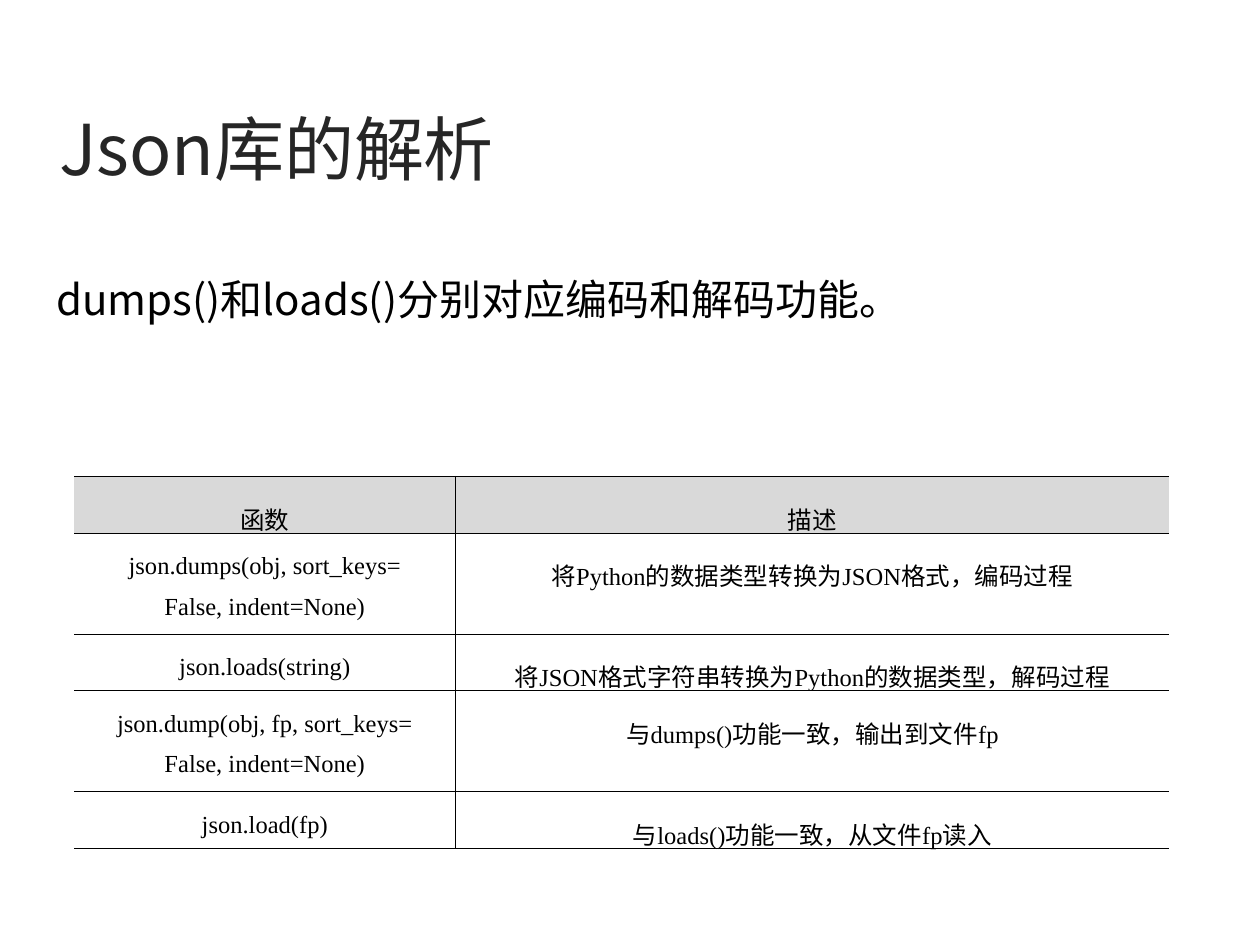
from lxml import etree
from pptx import Presentation
from pptx.dml.color import RGBColor
from pptx.enum import text
from pptx.oxml import ns
from pptx.util import Inches, Pt

BLACK = RGBColor(0x00, 0x00, 0x00)
CHARCOAL = RGBColor(0x26, 0x26, 0x26)
GREY = RGBColor(0xD9, 0xD9, 0xD9)
WHITE = RGBColor(0xFF, 0xFF, 0xFF)
SANS = "Noto Sans CJK SC"
SERIF = "Times New Roman"

ROWS = [
    ("函数", "描述"),
    ("json.dumps(obj, sort_keys=\nFalse, indent=None)", "将Python的数据类型转换为JSON格式，编码过程"),
    ("json.loads(string)", "将JSON格式字符串转换为Python的数据类型，解码过程"),
    ("json.dump(obj, fp, sort_keys=\nFalse, indent=None)", "与dumps()功能一致，输出到文件fp"),
    ("json.load(fp)", "与loads()功能一致，从文件fp读入"),
]


def add_child(parent, tag, **attributes):
    """Append a DrawingML element and return it."""
    return etree.SubElement(parent, ns.qn(tag), attributes)


def write(frame, content, size, font=SANS, color=BLACK, align=None, spacing=None, shadow=False):
    """Fill a text frame, one paragraph for each line."""
    for index, line in enumerate(content.split("\n")):
        para = frame.add_paragraph() if index else frame.paragraphs[0]
        para.alignment = align
        para.line_spacing = spacing
        span = para.add_run()
        span.text = line
        span.font.size = Pt(size)
        span.font.color.rgb = color
        properties = span.font._element
        if shadow:
            effects = add_child(properties, "a:effectLst")
            outer = add_child(effects, "a:outerShdw", blurRad="38100", dist="38100", dir="2700000")
            add_child(outer, "a:srgbClr", val="C0C0C0")
        span.font.name = font
        add_child(properties, "a:ea", typeface=SANS)


def add_text(page, box, content, top_inset=0.05, **style):
    """Place a wrapped text box."""
    frame = page.shapes.add_textbox(*map(Inches, box)).text_frame
    frame.word_wrap = True
    frame.margin_top = Inches(top_inset)
    write(frame, content, **style)


def set_borders(cell, sides):
    """Draw thin lines on the named sides and clear the others."""
    properties = cell._tc.get_or_add_tcPr()
    for side in "LRTB":
        line = add_child(properties, f"a:ln{side}", w=str(Pt(0.45)))
        if side in sides:
            add_child(add_child(line, "a:solidFill"), "a:srgbClr", val=str(BLACK))
        else:
            add_child(line, "a:noFill")


def add_function_table(page, box):
    """Place the table of functions and their descriptions."""
    table = page.shapes.add_table(len(ROWS), 2, *map(Inches, box)).table
    table.first_row = table.horz_banding = False
    for column, share in zip(table.columns, (0.348, 0.652)):
        column.width = Inches(box[2] * share)
    for row, (index, contents) in zip(table.rows, enumerate(ROWS)):
        row.height = Inches(0.8 if "\n" in contents[0] else 0.45)
        for cell, content, sides in zip(row.cells, contents, ("RTB", "LTB")):
            set_borders(cell, sides)
            cell.fill.solid()
            cell.fill.fore_color.rgb = WHITE if index else GREY
            cell.margin_left = cell.margin_right = Inches(0.08)
            write(cell.text_frame, content, size=14, font=SERIF,
                  align=text.PP_ALIGN.CENTER, spacing=1.5)


def main():
    """Build and save the deck."""
    deck = Presentation()
    deck.slide_width, deck.slide_height = Inches(10), Inches(7.5)
    page = deck.slides.add_slide(deck.slide_layouts[6])
    add_text(page, (0.37, 0.83, 3.65, 0.77), "Json库的解析", top_inset=0.13,
             size=40, color=CHARCOAL, spacing=0.81, shadow=True)
    add_function_table(page, (0.59, 3.78, 8.69, 2.95))
    add_text(page, (0.35, 2.04, 9.4, 0.7), "dumps()和loads()分别对应编码和解码功能。",
             size=24, spacing=1.2)
    deck.save("out.pptx")


if __name__ == "__main__":
    main()
